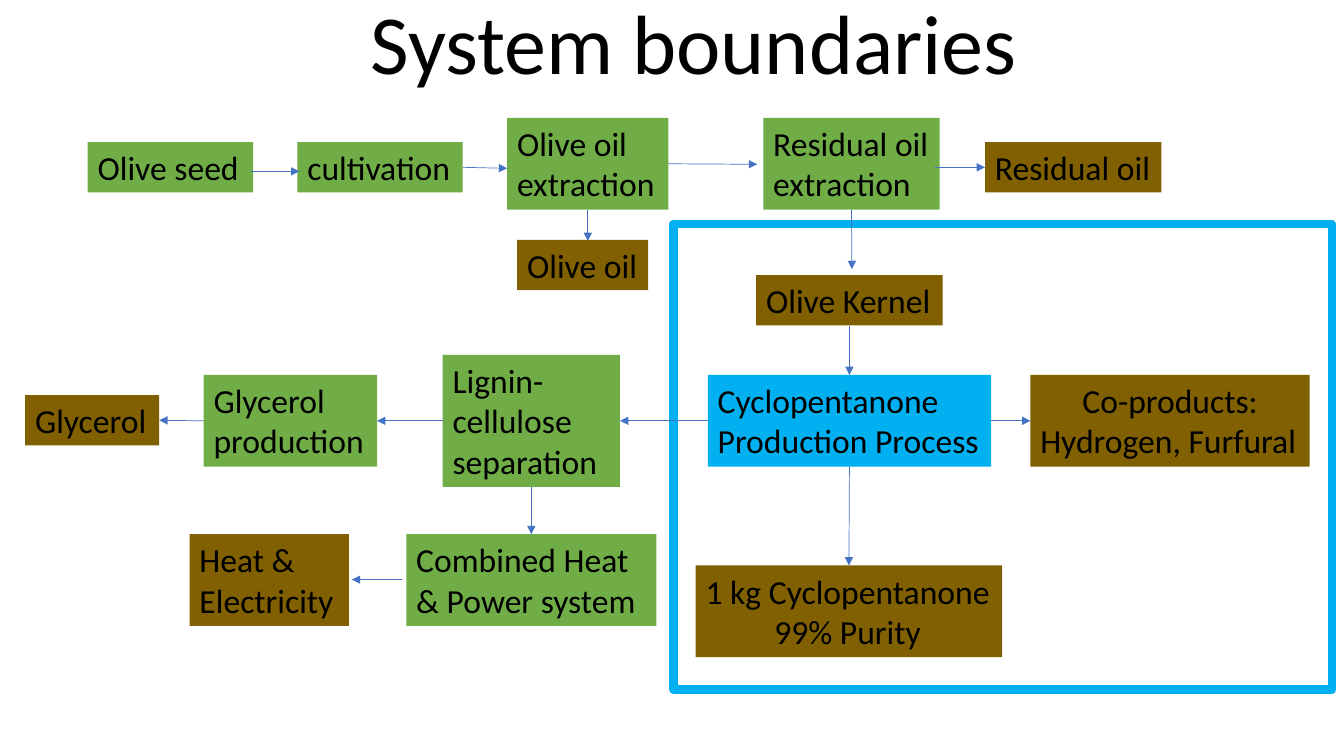
from lxml.etree import SubElement
from pptx import Presentation
from pptx.dml.color import RGBColor
from pptx.enum.shapes import MSO_CONNECTOR as Connector, MSO_SHAPE as Shape
from pptx.enum.text import MSO_ANCHOR as Anchor, MSO_AUTO_SIZE as AutoSize, PP_ALIGN as Align
from pptx.oxml.ns import qn
from pptx.util import Inches, Pt

BLACK = RGBColor(0x00, 0x00, 0x00)
WHITE = RGBColor(0xFF, 0xFF, 0xFF)
STEP_GREEN = RGBColor(0x70, 0xAD, 0x47)
PRODUCT_BROWN = RGBColor(0x80, 0x60, 0x00)
FOCUS_BLUE = RGBColor(0x00, 0xB0, 0xF0)
ARROW_BLUE = RGBColor(0x44, 0x72, 0xC4)

TOP, LEFT, BOTTOM, RIGHT = range(4)
ONE_LINE, TWO_LINES, THREE_LINES = 0.5, 0.91, 1.31


class FlowPage:
    font = "Calibri"
    text_size = 24
    title_size = 60

    def __init__(self, deck):
        self.page = deck.slides.add_slide(deck.slide_layouts[6])

    def add_text(self, para, text, size, align):
        para.alignment = align
        span = para.add_run()
        span.text = text
        span.font.name = self.font
        span.font.size = Pt(size)
        span.font.color.rgb = BLACK

    def title(self, text, left, top, width, height):
        box = self.page.shapes.add_textbox(*map(Inches, (left, top, width, height)))
        frame = box.text_frame
        frame.word_wrap = True
        frame.vertical_anchor = Anchor.BOTTOM
        para = frame.paragraphs[0]
        para.line_spacing = 0.9
        self.add_text(para, text, self.title_size, Align.CENTER)

    def shape(self, kind, left, top, width, height, fill):
        shape = self.page.shapes.add_shape(kind, *map(Inches, (left, top, width, height)))
        shape.shadow.inherit = False
        shape.fill.solid()
        shape.fill.fore_color.rgb = fill
        return shape

    def boundary(self, left, top, width, height):
        frame = self.shape(Shape.FLOWCHART_PROCESS, left, top, width, height, WHITE)
        frame.line.color.rgb = FOCUS_BLUE
        frame.line.width = Pt(6)

    def box(self, lines, left, top, width, height, fill, wrap=True):
        """Draw a filled box; lines holds (text, alignment) pairs."""
        box = self.shape(Shape.RECTANGLE, left, top, width, height, fill)
        box.line.fill.background()
        frame = box.text_frame
        frame.word_wrap = wrap
        frame.auto_size = AutoSize.SHAPE_TO_FIT_TEXT
        frame.vertical_anchor = Anchor.TOP
        for index, (text, align) in enumerate(lines):
            para = frame.add_paragraph() if index else frame.paragraphs[0]
            self.add_text(para, text, self.text_size, align)
        return box

    def arrow(self, start, end):
        """Draw an arrow; each end is (box, side) or a point in inches."""
        line = self.page.shapes.add_connector(Connector.STRAIGHT, *map(Inches, locate(start) + locate(end)))
        if is_joined(start):
            line.begin_connect(*start)
        if is_joined(end):
            line.end_connect(*end)
        line.line.color.rgb = ARROW_BLUE
        line.line.width = Pt(0.5)
        properties = line._element.spPr
        SubElement(properties.find(qn("a:ln")), qn("a:tailEnd"), type="triangle")
        SubElement(properties, qn("a:effectLst"))


def is_joined(end):
    return not isinstance(end[0], (int, float))


def locate(end):
    """Give the point of an arrow's end in inches."""
    if not is_joined(end):
        return end
    box, side = end
    across = {LEFT: 0, RIGHT: 1}.get(side, 0.5)
    down = {TOP: 0, BOTTOM: 1}.get(side, 0.5)
    return (box.left + across * box.width) / Inches(1), (box.top + down * box.height) / Inches(1)


BOXES = {
    "seed": ([("Olive seed", Align.LEFT)], 0.87, 1.41, 1.64, ONE_LINE, STEP_GREEN),
    "cultivation": ([("cultivation", Align.LEFT)], 2.95, 1.41, 1.64, ONE_LINE, STEP_GREEN),
    "oil extraction": ([("Olive oil extraction", Align.LEFT)], 5.03, 1.17, 1.6, TWO_LINES, STEP_GREEN),
    "olive oil": ([("Olive oil", Align.LEFT)], 5.13, 2.38, 1.3, ONE_LINE, PRODUCT_BROWN, False),
    "residual extraction": ([("Residual oil extraction", Align.LEFT)], 7.57, 1.17, 1.75, TWO_LINES, STEP_GREEN),
    "residual oil": ([("Residual oil", Align.LEFT)], 9.77, 1.41, 1.75, ONE_LINE, PRODUCT_BROWN, False),
    "separation": ([("Lignin-cellulose separation", Align.LEFT)], 4.39, 3.52, 1.76, THREE_LINES, STEP_GREEN),
    "glycerol production": ([("Glycerol production", Align.LEFT)], 2.02, 3.72, 1.72, TWO_LINES, STEP_GREEN),
    "glycerol": ([("Glycerol", Align.LEFT)], 0.25, 3.92, 1.33, ONE_LINE, PRODUCT_BROWN),
    "power system": ([("Combined Heat & Power system", Align.LEFT)], 4.03, 5.3, 2.48, TWO_LINES, STEP_GREEN),
    "energy": ([("Heat & Electricity", Align.LEFT)], 1.88, 5.3, 1.58, TWO_LINES, PRODUCT_BROWN),
    "cyclopentanone": ([("1 kg Cyclopentanone", Align.LEFT), ("99% Purity", Align.CENTER)],
                       6.9, 5.61, 3.04, TWO_LINES, PRODUCT_BROWN, False),
    "kernel": ([("Olive Kernel", Align.LEFT)], 7.5, 2.73, 1.85, ONE_LINE, PRODUCT_BROWN, False),
    "process": ([("Cyclopentanone Production Process", Align.LEFT)], 7.02, 3.72, 2.81, TWO_LINES, FOCUS_BLUE),
    "co-products": ([("Co-products:", Align.CENTER), ("Hydrogen, Furfural", Align.LEFT)],
                    10.22, 3.72, 2.77, TWO_LINES, PRODUCT_BROWN, False),
}

ARROWS = [
    ((2.49, 1.7), (2.97, 1.7)),
    (("cultivation", RIGHT), (5.03, 1.67)),
    (("oil extraction", RIGHT), (7.51, 1.63)),
    ((9.27, 1.66), ("residual oil", LEFT)),
    (("oil extraction", BOTTOM), (5.83, 2.39)),
    (("residual extraction", BOTTOM), (8.45, 2.67)),
    (("kernel", BOTTOM), ("process", TOP)),
    (("process", BOTTOM), ("cyclopentanone", TOP)),
    (("process", LEFT), ("separation", RIGHT)),
    (("process", RIGHT), ("co-products", LEFT)),
    (("separation", LEFT), ("glycerol production", RIGHT)),
    (("glycerol production", LEFT), ("glycerol", RIGHT)),
    (("separation", BOTTOM), ("power system", TOP)),
    ((3.99, 5.75), (3.49, 5.75)),
]


def main():
    deck = Presentation()
    deck.slide_width, deck.slide_height = Inches(13.33), Inches(7.5)
    flow = FlowPage(deck)
    flow.boundary(6.68, 2.22, 6.53, 4.62)
    flow.title("System boundaries", 1.88, -0.12, 10, 1.09)
    boxes = {name: flow.box(*layout) for name, layout in BOXES.items()}
    for ends in ARROWS:
        flow.arrow(*((boxes.get(first, first), second) for first, second in ends))
    deck.save("out.pptx")


if __name__ == "__main__":
    main()
